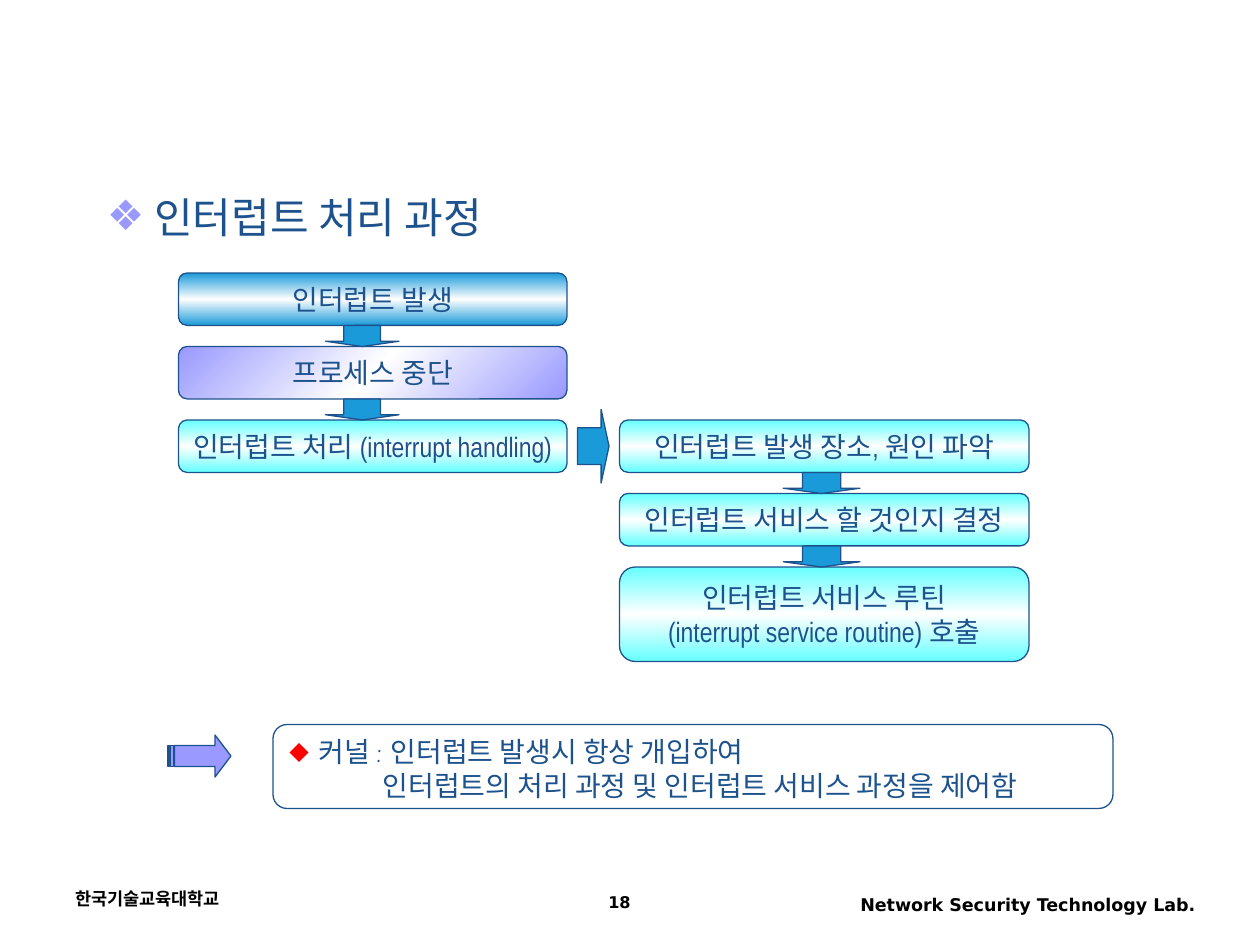
from copy import deepcopy

from lxml import etree
from pptx import Presentation
from pptx import util as u
from pptx.dml.color import RGBColor
from pptx.enum import shapes, text
from pptx.oxml.ns import qn

PX = 7620  # 120 px to the inch
COLORS = {
    "navy": "1D528D", "blue": "1B9AD9", "violet": "9999FF", "cyan": "66FFFF",
    "white": "FFFFFF", "red": "FF0000", "black": "000000",
}
KIND = shapes.MSO_SHAPE
CENTER, RIGHT = text.PP_ALIGN.CENTER, text.PP_ALIGN.RIGHT
MIDDLE = text.MSO_ANCHOR.MIDDLE
CJK = "Noto Sans CJK KR"


def px(*vals):
    return [u.Emu(v * PX) for v in vals]


def rgb(name):
    return RGBColor.from_string(COLORS[name])


def bullet(para, char, color, hang):
    """Give the paragraph a coloured bullet with a hanging indent."""
    props = para._p.get_or_add_pPr()
    props.set("marL", str(hang * PX))
    props.set("indent", str(-hang * PX))
    tint = etree.SubElement(props, qn("a:buClr"))
    etree.SubElement(tint, qn("a:srgbClr"), val=COLORS[color])
    etree.SubElement(props, qn("a:buFont"), typeface="DejaVu Sans")
    etree.SubElement(props, qn("a:buChar"), char=char)


def write(para, words, size=16, font="Arial Narrow", color="navy", bold=False,
          align=None, before=None, line=None, left=0, mark=None):
    para.alignment = align
    if before is not None:
        para.space_before = u.Pt(before)
    if line is not None:
        para.line_spacing = line
    if left:
        para._p.get_or_add_pPr().set("marL", str(left * PX))
    if mark:
        bullet(para, *mark)
    run = para.add_run()
    run.text = words
    run.font.size, run.font.name, run.font.bold = u.Pt(size), font, bold
    run.font.color.rgb = rgb(color)
    etree.SubElement(run._r.get_or_add_rPr(), qn("a:ea"), typeface=CJK)


def label(slide, box, words, anchor=text.MSO_ANCHOR.TOP, **form):
    frame = slide.shapes.add_textbox(*px(*box)).text_frame
    frame.word_wrap = True
    frame.vertical_anchor = anchor
    write(frame.paragraphs[0], words, **form)


def shape(slide, kind, box, fill=None):
    item = slide.shapes.add_shape(kind, *px(*box))
    item.shadow.inherit = False
    item.line.color.rgb = rgb("navy")
    item.line.width = u.Pt(0.75)
    if fill:
        item.fill.solid()
        item.fill.fore_color.rgb = rgb(fill)
    else:
        item.fill.background()
    return item


def blend(item, color, angle):
    """Fill with the colour at both ends and white in the middle."""
    item.fill.gradient()
    item.fill.gradient_angle = angle
    stops = item._element.spPr.find(qn("a:gradFill")).find(qn("a:gsLst"))
    stops.insert(1, deepcopy(stops[0]))
    for stop, name, pos in zip(item.fill.gradient_stops,
                               (color, "white", color), (0, 0.5, 1)):
        stop.color.rgb = rgb(name)
        stop.position = pos


def step(slide, box, lines, color="cyan", angle=270):
    item = shape(slide, KIND.FLOWCHART_ALTERNATE_PROCESS, box)
    blend(item, color, angle)
    frame = item.text_frame
    frame.word_wrap = False
    frame.vertical_anchor = MIDDLE
    for i, words in enumerate(lines):
        para = frame.add_paragraph() if i else frame.paragraphs[0]
        write(para, words, align=CENTER)


def arrow(slide, kind, box, fill="blue", head=0.25):
    item = shape(slide, kind, box, fill)
    item.adjustments[0], item.adjustments[1] = 0.5, head


def note(slide):
    item = shape(slide, KIND.FLOWCHART_ALTERNATE_PROCESS, (260, 690, 800, 80))
    frame = item.text_frame
    frame.word_wrap = True
    frame.vertical_anchor = MIDDLE
    write(frame.paragraphs[0], "커널 : 인터럽트 발생시 항상 개입하여",
          font="Comic Neue", before=10, mark=("⬥", "red", 28))
    write(frame.add_paragraph(),
          "인터럽트의 처리 과정 및 인터럽트 서비스 과정을 제어함",
          font="Comic Neue", before=10, line=0.4, left=89)
    for para in frame.paragraphs:
        para.alignment = text.PP_ALIGN.LEFT


def footer(slide):
    form = dict(font="DejaVu Sans", color="black", bold=True)
    label(slide, (60, 840, 280, 40), "한국기술교육대학교", size=10, **form)
    label(slide, (770, 846, 380, 38), "Network Security Technology Lab.",
          size=10, align=RIGHT, **form)
    label(slide, (450, 846, 280, 34), "18", size=9.2, align=CENTER, line=0.9,
          **form)


def main():
    deck = Presentation()
    deck.slide_width, deck.slide_height = px(1200, 900)
    slide = deck.slides.add_slide(deck.slide_layouts[6])
    footer(slide)
    label(slide, (90, 176, 1020, 60), "인터럽트 처리 과정", anchor=MIDDLE,
          size=24, font=CJK, mark=("❖", "violet", 45))

    top, high, gap = 260, 50, 20
    rows = [top + i * (high + gap) for i in range(5)]
    step(slide, (170, rows[0], 370, high), ["인터럽트 발생"], "blue")
    step(slide, (170, rows[1], 370, high), ["프로세스 중단"], "violet", 315)
    step(slide, (170, rows[2], 370, high), ["인터럽트 처리 (interrupt handling)"])
    step(slide, (590, rows[2], 390, high), ["인터럽트 발생 장소, 원인 파악"])
    step(slide, (590, rows[3], 390, high), ["인터럽트 서비스 할 것인지 결정"])
    step(slide, (590, rows[4], 390, 90),
         ["인터럽트 서비스 루틴", "(interrupt service routine) 호출"])

    for i, row in enumerate(rows[:4]):
        left, wide = (310, 70) if i < 2 else (746, 73)
        arrow(slide, KIND.DOWN_ARROW, (left, row + high, wide, gap))
    arrow(slide, KIND.RIGHT_ARROW, (550, 390, 30, 70))

    arrow(slide, KIND.STRIPED_RIGHT_ARROW, (160, 700, 60, 40), "violet", 0.38)
    note(slide)
    deck.save("out.pptx")


if __name__ == "__main__":
    main()
